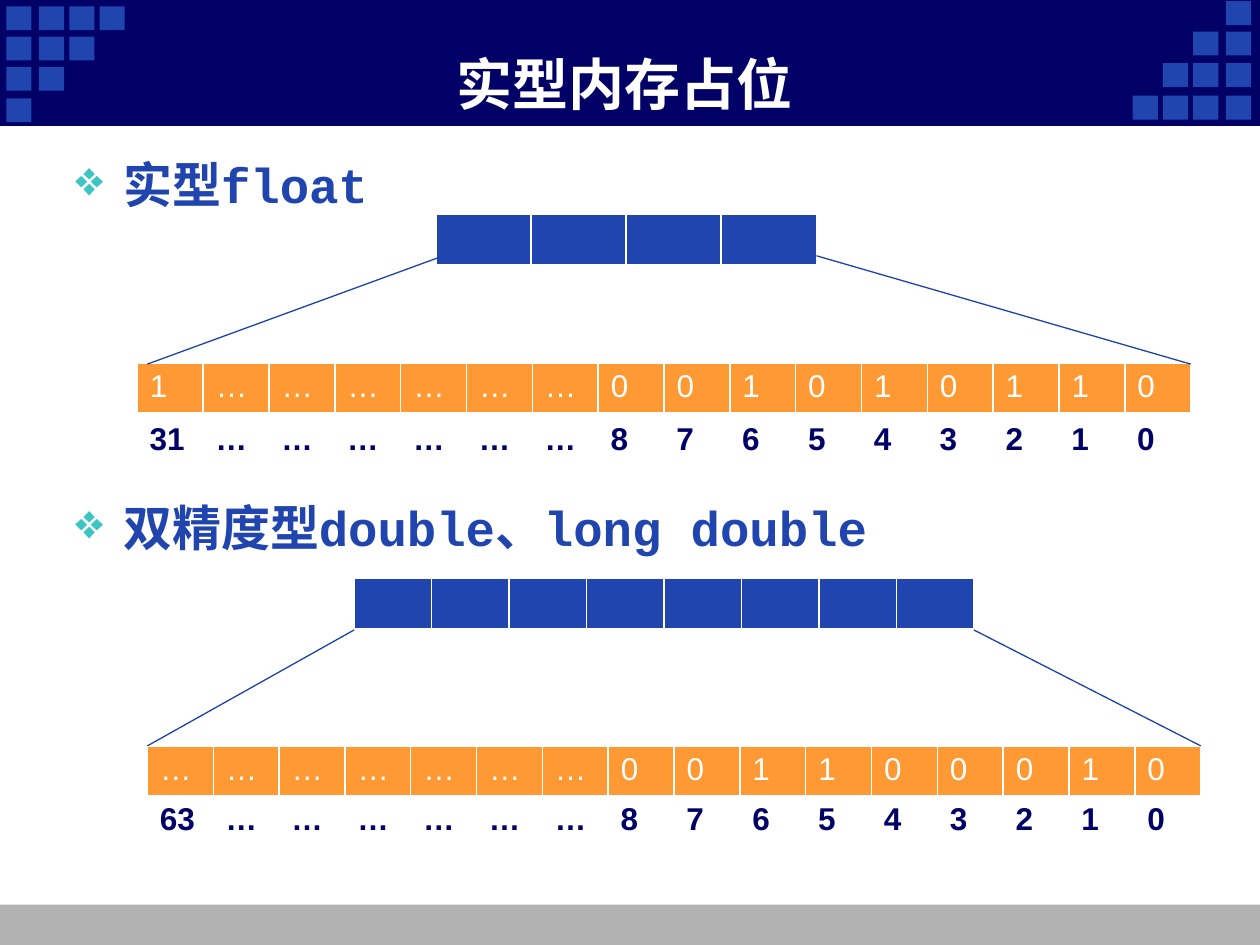
from lxml.etree import SubElement
from pptx import Presentation
from pptx.dml.color import RGBColor
from pptx.enum.shapes import MSO_CONNECTOR, MSO_SHAPE
from pptx.enum.text import MSO_ANCHOR, PP_ALIGN
from pptx.oxml.ns import qn
from pptx.util import Inches, Pt

NAVY, BLUE, LINE_BLUE = "000066", "2045AE", "1C42AE"
ORANGE, TEAL, GREY, WHITE = "FF9933", "3DC5C5", "B2B2B2", "FFFFFF"
BIT_COUNT, ROW_WIDTH, ROW_HEIGHT = 16, 8.36, 0.41
DOTS = ["…"] * 6
LOW_POSITIONS = list("876543210")


def color(value):
    """Turn a hex string into a colour."""
    return RGBColor.from_string(value)


def style(para, size, shade, font="Arial", bold=True):
    """Format every run of a paragraph."""
    for span in para.runs:
        span.font.name = font
        span.font.size = Pt(size)
        span.font.bold = bold
        span.font.color.rgb = color(shade)


def add_rectangle(page, left, top, width, height, fill):
    """Add a plain filled rectangle."""
    box = page.shapes.add_shape(
        MSO_SHAPE.RECTANGLE, Inches(left), Inches(top), Inches(width), Inches(height))
    box.shadow.inherit = False
    box.fill.solid()
    box.fill.fore_color.rgb = color(fill)
    box.line.fill.background()


def add_corner_squares(page, columns, rows):
    """Add a triangle of squares, each row one shorter than the last."""
    for index, top in enumerate(rows):
        for left in columns[:len(columns) - index]:
            add_rectangle(page, left, top, 0.2, 0.19, BLUE)


def add_title(page, text):
    """Place the title in front of the banner."""
    title = page.shapes.title
    title.left, title.top = Inches(0.92), Inches(0.35)
    title.width, title.height = Inches(8.08), Inches(0.62)
    frame = title.text_frame
    frame.text = text
    frame.vertical_anchor = MSO_ANCHOR.MIDDLE
    frame.paragraphs[0].alignment = PP_ALIGN.CENTER
    style(frame.paragraphs[0], 32, WHITE)
    title.element.getparent().append(title.element)


def add_text(page, left, top, width, height, text):
    """Add a wrapping text box and return its paragraph."""
    box = page.shapes.add_textbox(
        Inches(left), Inches(top), Inches(width), Inches(height))
    box.text_frame.word_wrap = True
    box.text_frame.text = text
    return box.text_frame.paragraphs[0]


def add_heading(page, top, text):
    """Add a bulleted type heading."""
    para = add_text(page, 0.5, top, 9, 0.6, text)
    properties = para._p.get_or_add_pPr()
    properties.set("marL", str(Inches(0.38)))
    properties.set("indent", str(-Inches(0.38)))
    bullet_color = SubElement(properties, qn("a:buClr"))
    SubElement(bullet_color, qn("a:srgbClr"), val=TEAL)
    SubElement(properties, qn("a:buChar"), char="❖")
    style(para, 28, BLUE, "Courier New")


def add_borders(cell):
    """Give a cell white edges with a thicker one below."""
    properties = cell._tc.get_or_add_tcPr()
    for edge, width in (("lnL", 1), ("lnR", 1), ("lnT", 1), ("lnB", 3)):
        line = SubElement(properties, qn(f"a:{edge}"), w=str(Pt(width)))
        fill = SubElement(line, qn("a:solidFill"))
        SubElement(fill, qn("a:srgbClr"), val=WHITE)


def add_cells(page, left, top, width, values, fill):
    """Add a one-row table of equal cells."""
    table = page.shapes.add_table(
        1, len(values), Inches(left), Inches(top), Inches(width), Inches(ROW_HEIGHT)).table
    table.first_row = table.horz_banding = False
    for column, cell, value in zip(table.columns, table.rows[0].cells, values):
        column.width = Inches(width / len(values))
        add_borders(cell)
        cell.fill.solid()
        cell.fill.fore_color.rgb = color(fill)
        cell.text_frame.text = value
        style(cell.text_frame.paragraphs[0], 18, WHITE, bold=False)


def add_line(page, start, end):
    """Add a thin line from a byte row to its bits."""
    line = page.shapes.add_connector(
        MSO_CONNECTOR.STRAIGHT, *(Inches(value) for value in start + end))
    line.line.color.rgb = color(LINE_BLUE)
    line.line.width = Pt(0.75)
    SubElement(line._element.spPr, qn("a:effectLst"))


def add_positions(page, left, top, highest):
    """Label the bits, with one tab stop per cell."""
    labels = [highest] + DOTS + LOW_POSITIONS
    para = add_text(page, left, top, ROW_WIDTH, 0.4, "\t".join(labels))
    tabs = SubElement(para._p.get_or_add_pPr(), qn("a:tabLst"))
    for index in range(1, BIT_COUNT):
        stop = Inches(index * ROW_WIDTH / BIT_COUNT)
        SubElement(tabs, qn("a:tab"), pos=str(stop), algn="l")
    style(para, 18, NAVY)


def main():
    """Build the slide."""
    deck = Presentation()
    deck.slide_width, deck.slide_height = Inches(10), Inches(7.5)
    page = deck.slides.add_slide(deck.slide_layouts[5])

    add_rectangle(page, 0, 7.18, 10, 0.32, GREY)
    add_rectangle(page, 0, 0, 10, 1, NAVY)
    add_corner_squares(page, [0.05, 0.31, 0.55, 0.79], [0.05, 0.29, 0.53, 0.78])
    add_corner_squares(page, [9.73, 9.47, 9.23, 8.99], [0.76, 0.5, 0.25, 0.01])
    add_title(page, "实型内存占位")

    add_heading(page, 1.18, "实型float")
    add_cells(page, 3.46, 1.7, 3.02, [""] * 4, BLUE)
    add_cells(page, 1.09, 2.88, ROW_WIDTH, ["1"] + DOTS + list("001010110"), ORANGE)
    add_line(page, (3.52, 2.03), (1.17, 2.89))
    add_line(page, (6.48, 2.03), (9.45, 2.89))
    add_positions(page, 1.09, 3.28, "31")

    add_heading(page, 3.9, "双精度型double、long double")
    add_cells(page, 2.81, 4.59, 4.92, [""] * 8, BLUE)
    add_cells(page, 1.17, 5.92, ROW_WIDTH, ["…"] + DOTS + list("001100010"), ORANGE)
    add_line(page, (2.81, 5), (1.17, 5.92))
    add_line(page, (7.73, 5), (9.53, 5.92))
    add_positions(page, 1.17, 6.29, "63")

    deck.save("out.pptx")


if __name__ == "__main__":
    main()
